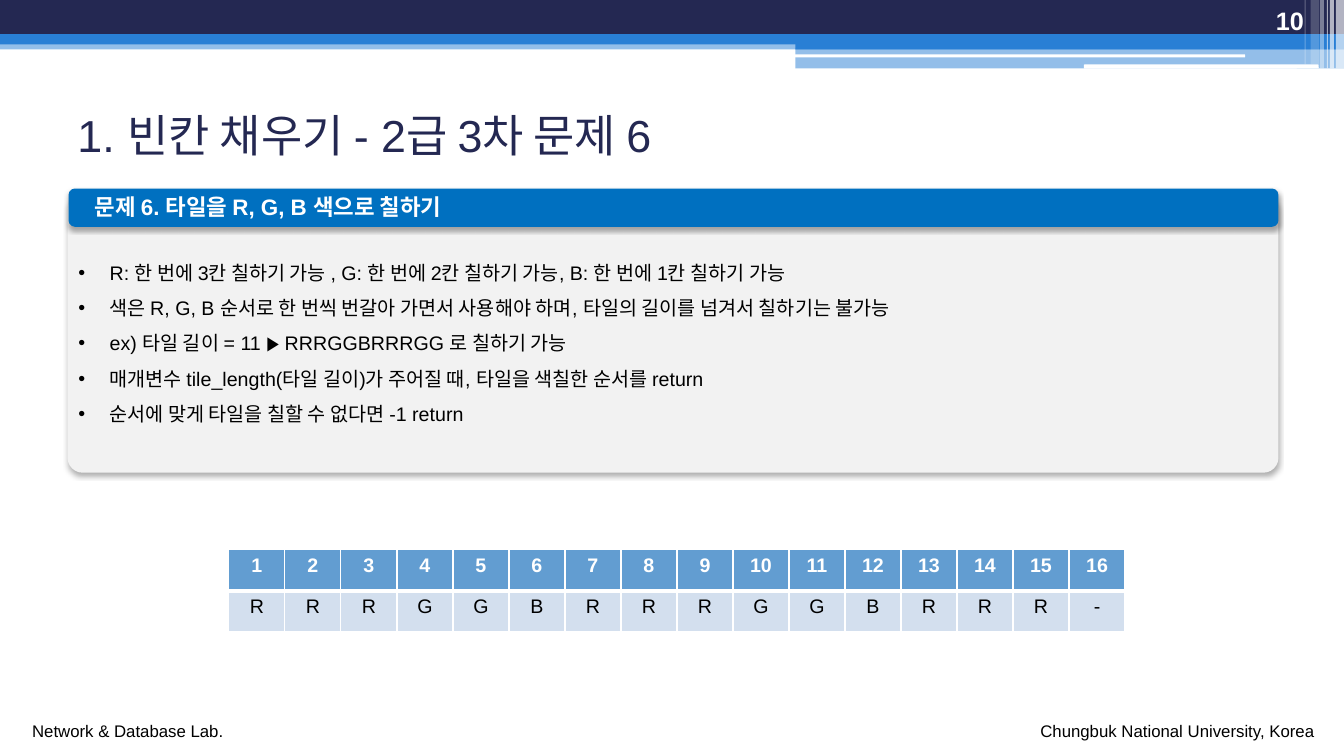
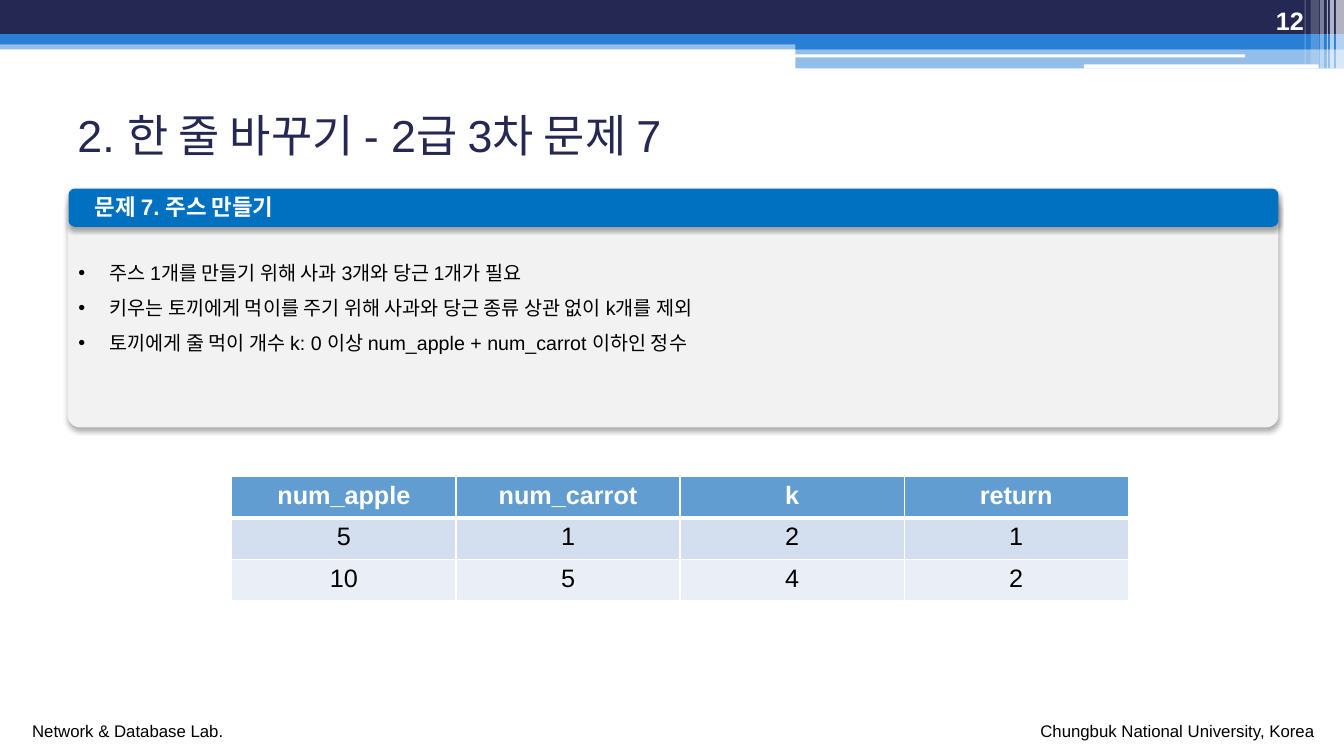
from lxml.etree import SubElement
from pptx import Presentation
from pptx.dml.color import RGBColor
from pptx.enum.shapes import MSO_SHAPE
from pptx.enum.text import MSO_ANCHOR, PP_ALIGN
from pptx.oxml.ns import qn
from pptx.util import Inches, Pt

NAVY = RGBColor(0x24, 0x28, 0x52)
BLUE = RGBColor(0x29, 0x7F, 0xD5)
HEADER_BLUE = RGBColor(0x00, 0x70, 0xC0)
TABLE_BLUE = RGBColor(0x62, 0x9D, 0xD1)
ROW_TINTS = (RGBColor(0xD3, 0xDF, 0xEE), RGBColor(0xEA, 0xEF, 0xF7))
PANEL_GRAY = RGBColor(0xF2, 0xF2, 0xF2)
WHITE = RGBColor(0xFF, 0xFF, 0xFF)
BLACK = RGBColor(0x00, 0x00, 0x00)

BANDS = [
    (0, 0.4, 13.33, 0.09, BLUE, 50),
    (0, 0, 13.33, 0.34, NAVY, 100),
    (0, 0.34, 13.33, 0.1, BLUE, 100),
    (7.89, 0.39, 5.44, 0.1, BLUE, 100),
    (7.89, 0.48, 5.44, 0.2, BLUE, 50),
]
BAND_GAPS = [(7.88, 0.54, 4.47, 0.03), (10.75, 0.64, 2.33, 0.04)]
STRIPES = [
    (13.25, 0.08, 0.68, 65),
    (13.19, 0.04, 0.68, 65),
    (13.16, 0.01, 0.68, 60),
    (13.09, 0.04, 0.68, 40),
    (13, 0.08, 0.64, 20),
    (12.94, 0.01, 0.64, 30),
]


class Deck:
    """Hold the shared style and the slide being built."""

    font = "Arial"

    def __init__(self):
        self.presentation = Presentation()
        self.presentation.slide_width = Inches(13.33)
        self.presentation.slide_height = Inches(7.5)
        self.slide = None

    def add_slide(self, number, title):
        self.slide = self.presentation.slides.add_slide(self.presentation.slide_layouts[6])
        for left, top, width, height, color, opacity in BANDS:
            self.box(left, top, width, height, color, opacity)
        for gap in BAND_GAPS:
            self.box(*gap, WHITE, kind=MSO_SHAPE.ROUNDED_RECTANGLE)
        for left, width, height, opacity in STRIPES:
            self.box(left, 0, width, height, WHITE, opacity)
        self.text(0.22, 7.1, 2.11, 0.3, ["Network & Database Lab."], 12, wrap=False)
        self.text(10.22, 7.1, 2.94, 0.3, ["Chungbuk National University, Korea"], 12, wrap=False)
        self.text(0.67, 0.97, 12, 0.74, [title], 32, NAVY, anchor=MSO_ANCHOR.MIDDLE)
        self.text(11.92, 0, 1.11, 0.4, [number], 18, WHITE, bold=True,
                  align=PP_ALIGN.RIGHT, anchor=MSO_ANCHOR.BOTTOM)

    def box(self, left, top, width, height, color, opacity=100, kind=MSO_SHAPE.RECTANGLE):
        shape = self.slide.shapes.add_shape(
            kind, Inches(left), Inches(top), Inches(width), Inches(height))
        shape.shadow.inherit = False
        shape.fill.solid()
        shape.fill.fore_color.rgb = color
        shape.line.fill.background()
        if opacity < 100:
            fill_color = shape._element.spPr.find(".//" + qn("a:srgbClr"))
            SubElement(fill_color, qn("a:alpha"), val=str(opacity * 1000))
        return shape

    def raised_box(self, left, top, width, height, color, rounding):
        shape = self.box(left, top, width, height, color, kind=MSO_SHAPE.ROUNDED_RECTANGLE)
        shape.adjustments[0] = rounding
        effects = shape._element.spPr.find(qn("a:effectLst"))
        shadow = SubElement(effects, qn("a:outerShdw"), blurRad=str(Pt(3.5)),
                            dist=str(Pt(2.2)), dir="5400000", rotWithShape="0")
        shadow_color = SubElement(shadow, qn("a:srgbClr"), val=str(BLACK))
        SubElement(shadow_color, qn("a:alpha"), val="32000")

    def add_run(self, paragraph, text, size, color, bold, align):
        paragraph.alignment = align
        run = paragraph.add_run()
        run.text = text
        run.font.name = self.font
        run.font.size = Pt(size)
        run.font.bold = bold
        run.font.color.rgb = color

    def text(self, left, top, width, height, lines, size, color=BLACK, bold=False,
             align=PP_ALIGN.LEFT, anchor=MSO_ANCHOR.TOP, wrap=True):
        frame = self.slide.shapes.add_textbox(
            Inches(left), Inches(top), Inches(width), Inches(height)).text_frame
        frame.word_wrap = wrap
        frame.vertical_anchor = anchor
        for index, line in enumerate(lines):
            paragraph = frame.add_paragraph() if index else frame.paragraphs[0]
            self.add_run(paragraph, line, size, color, bold, align)
        return frame

    def bullets(self, left, top, width, height, lines):
        frame = self.text(left, top, width, height, lines, 14)
        for paragraph in frame.paragraphs:
            paragraph.line_spacing = 1.5
            properties = paragraph._p.get_or_add_pPr()
            properties.set("marL", str(Inches(0.31)))
            properties.set("indent", str(Inches(-0.31)))
            SubElement(properties, qn("a:buFont"), typeface=self.font)
            SubElement(properties, qn("a:buChar"), char="•")

    def problem(self, heading, lines, panel_height):
        self.raised_box(0.67, 1.93, 12.01, panel_height, PANEL_GRAY, 0.054)
        self.raised_box(0.68, 1.87, 12, 0.38, HEADER_BLUE, 0.167)
        self.text(0.84, 1.87, 11.81, 0.37, [heading], 16, WHITE, bold=True)
        self.bullets(0.68, 2.42, 12.06, 0.07 + 0.35 * len(lines), lines)

    def table(self, left, top, rows, size):
        width, row_height = Inches(8.89), Inches(0.41)
        columns = len(rows[0])
        table = self.slide.shapes.add_table(
            len(rows), columns, Inches(left), Inches(top), width,
            row_height * len(rows)).table
        for column in table.columns:
            column.width = width // columns
        for row_index, values in enumerate(rows):
            is_header = row_index == 0
            fill = TABLE_BLUE if is_header else ROW_TINTS[(row_index - 1) % 2]
            for column_index, value in enumerate(values):
                cell = table.cell(row_index, column_index)
                self.borders(cell, 3 if is_header else 1, 3 if row_index == 1 else 1)
                cell.fill.solid()
                cell.fill.fore_color.rgb = fill
                self.add_run(cell.text_frame.paragraphs[0], value, size,
                             WHITE if is_header else BLACK, is_header, PP_ALIGN.CENTER)

    def borders(self, cell, bottom, top):
        properties = cell._tc.get_or_add_tcPr()
        for side, weight in (("L", 1), ("R", 1), ("T", top), ("B", bottom)):
            line = SubElement(properties, qn("a:ln" + side), w=str(Pt(weight)))
            fill = SubElement(line, qn("a:solidFill"))
            SubElement(fill, qn("a:srgbClr"), val=str(WHITE))


def main():
    deck = Deck()

    deck.add_slide("10", "1. 빈칸 채우기 - 2급 3차 문제 6")
    deck.problem("문제 6. 타일을 R, G, B 색으로 칠하기", [
        "R: 한 번에 3칸 칠하기 가능 , G: 한 번에 2칸 칠하기 가능, B: 한 번에 1칸 칠하기 가능",
        "색은 R, G, B 순서로 한 번씩 번갈아 가면서 사용해야 하며, 타일의 길이를 넘겨서 칠하기는 불가능",
        "ex) 타일 길이 = 11 ▶ RRRGGBRRRGG 로 칠하기 가능",
        "매개변수 tile_length(타일 길이)가 주어질 때, 타일을 색칠한 순서를 return",
        "순서에 맞게 타일을 칠할 수 없다면 -1 return",
    ], 2.76)
    tiles = "RRRGGBRRRGGBRRR-"
    positions = [str(position) for position in range(1, len(tiles) + 1)]
    deck.table(2.27, 5.45, [positions, tiles], 14)

    deck.add_slide("12", "2. 한 줄 바꾸기 - 2급 3차 문제 7")
    deck.problem("문제 7. 주스 만들기", [
        "주스 1개를 만들기 위해 사과 3개와 당근 1개가 필요",
        "키우는 토끼에게 먹이를 주기 위해 사과와 당근 종류 상관 없이 k개를 제외",
        "토끼에게 줄 먹이 개수 k: 0 이상 num_apple + num_carrot 이하인 정수",
    ], 2.31)
    deck.table(2.3, 4.73, [
        ["num_apple", "num_carrot", "k", "return"],
        ["5", "1", "2", "1"],
        ["10", "5", "4", "2"],
    ], 18)

    deck.presentation.save("out.pptx")


if __name__ == "__main__":
    main()
